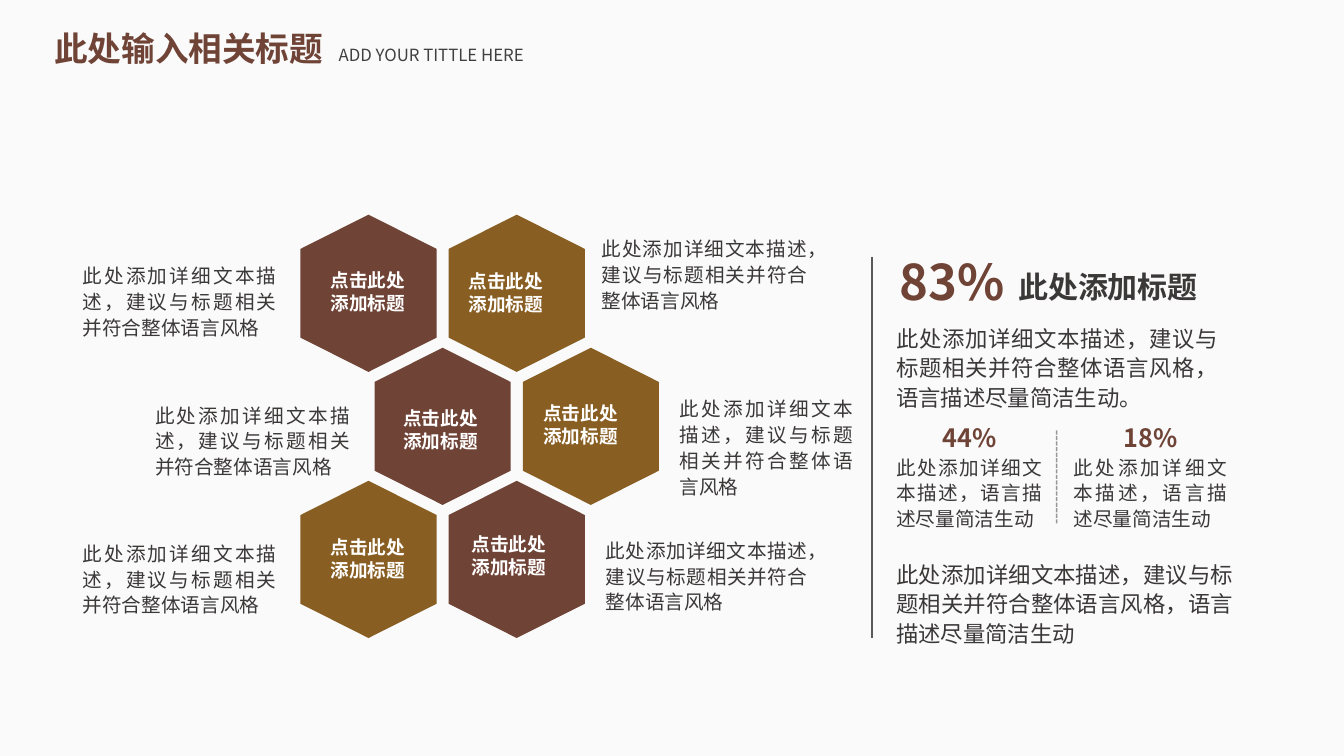
"""Build a honeycomb slide with six captioned cells and a statistics panel."""
from dataclasses import dataclass

from lxml import etree
from pptx import Presentation
from pptx import util as u
from pptx.dml.color import RGBColor
from pptx.enum import dml, shapes, text
from pptx.oxml.ns import qn
from pptx.slide import Slide


@dataclass(frozen=True)
class Theme:
    font: str = "Noto Sans CJK SC"
    paper: str = "FAFAFA"
    brown: str = "6F4336"
    gold: str = "885E22"
    white: str = "FFFFFF"
    ink: str = "3B3838"
    grey: str = "404040"
    rule: str = "595959"
    black: str = "000000"
    title: float = 24
    subtitle: float = 12
    cell: float = 13.3
    note: float = 14
    body: float = 16
    percent: float = 18
    figure: float = 35
    heading: float = 21.4


@dataclass(frozen=True)
class Label:
    words: str
    left: float
    top: float
    width: float
    height: float
    size: float
    color: str
    bold: bool = False
    align: text.PP_ALIGN | None = None
    spacing: float | None = None
    anchor: text.MSO_ANCHOR = text.MSO_ANCHOR.TOP


@dataclass(frozen=True)
class Cell:
    row: int
    col: int
    color: str
    label_left: float
    label_top: float


@dataclass(frozen=True)
class Rule:
    x: float
    top: float
    bottom: float
    color: str
    dash: dml.MSO_LINE | None = None
    opacity: int | None = None


T = Theme()
CENTER = text.PP_ALIGN.CENTER
CELL_W, CELL_H, SHOULDER = 1.35, 1.56, 0.34
GRID_LEFT, GRID_TOP, COL_STEP, ROW_STEP = 2.98, 2.13, 1.47, 1.32
CELL_TITLE = "点击此处添加标题"
NOTE = "此处添加详细文本描述，建议与标题相关并符合整体语言风格"
SHORT_NOTE = "此处添加详细文本描述，语言描述尽量简洁生动"
LONG_NOTE = NOTE + "，语言描述尽量简洁生动"

CELLS = [
    Cell(0, 0, T.brown, 3.18, 2.62),
    Cell(0, 1, T.gold, 4.55, 2.63),
    Cell(1, 0, T.brown, 3.9, 3.99),
    Cell(1, 1, T.gold, 5.29, 3.94),
    Cell(2, 0, T.gold, 3.18, 5.27),
    Cell(2, 1, T.brown, 4.58, 5.24),
]
RULES = [
    Rule(8.65, 2.55, 6.33, T.rule),
    Rule(10.48, 4.27, 5.2, T.black, dml.MSO_LINE.SQUARE_DOT, 40),
]


def paragraph_label(words: str, left: float, top: float, width: float, height: float,
                    size: float = T.note,
                    anchor: text.MSO_ANCHOR = text.MSO_ANCHOR.TOP) -> Label:
    return Label(words, left, top, width, height, size, T.ink,
                 align=text.PP_ALIGN.JUSTIFY, spacing=1.1, anchor=anchor)


MIDDLE = text.MSO_ANCHOR.MIDDLE
LABELS = [
    Label("此处输入相关标题", 0.44, 0.23, 3.05, 0.5, T.title, T.brown, True),
    Label("ADD YOUR TITTLE HERE", 3.26, 0.39, 2.79, 0.3, T.subtitle, T.grey),
    paragraph_label(NOTE, 0.72, 2.55, 2.12, 0.88),
    paragraph_label(NOTE, 1.44, 3.93, 2.13, 0.88),
    paragraph_label(NOTE, 0.72, 5.3, 2.12, 0.88),
    paragraph_label(NOTE, 5.87, 2.28, 2.24, 0.88),
    paragraph_label(NOTE, 6.64, 3.87, 1.92, 1.14),
    paragraph_label(NOTE, 5.91, 5.27, 2.2, 0.88),
    Label("83%", 8.72, 2.45, 1.45, 0.69, T.figure, T.brown, True, CENTER),
    Label("此处添加标题", 10, 2.62, 2.82, 0.46, T.heading, T.ink, True),
    paragraph_label(LONG_NOTE + "。", 8.79, 3.14, 3.39, 0.99, T.body, MIDDLE),
    Label("44%", 9.23, 4.14, 0.78, 0.4, T.percent, T.brown, True, CENTER),
    Label("18%", 11.02, 4.14, 0.78, 0.4, T.percent, T.brown, True, CENTER),
    paragraph_label(SHORT_NOTE, 8.79, 4.44, 1.65, 0.88, anchor=MIDDLE),
    paragraph_label(SHORT_NOTE, 10.55, 4.44, 1.72, 0.88, anchor=MIDDLE),
    paragraph_label(LONG_NOTE, 8.79, 5.48, 3.54, 0.99, T.body, MIDDLE),
]


def apply(target: object, values: dict[str, object]) -> None:
    for name, value in values.items():
        setattr(target, name, value)


def draw_label(s: Slide, label: Label) -> None:
    sp = s.shapes.add_textbox(*map(u.Inches, (label.left, label.top,
                                              label.width, label.height)))
    tf = sp.text_frame
    apply(tf, {"word_wrap": True, "vertical_anchor": label.anchor,
               "auto_size": text.MSO_AUTO_SIZE.SHAPE_TO_FIT_TEXT})
    p = tf.paragraphs[0]
    apply(p, {"alignment": label.align, "line_spacing": label.spacing})
    r = p.add_run()
    r.text = label.words
    apply(r.font, {"size": u.Pt(label.size), "bold": label.bold, "name": T.font})
    r.font.color.rgb = RGBColor.from_string(label.color)
    etree.SubElement(r.font._element, qn("a:ea"), typeface=T.font)


def draw_cell(s: Slide, cell: Cell) -> None:
    left = GRID_LEFT + COL_STEP * (cell.col + cell.row % 2 / 2)
    top = GRID_TOP + ROW_STEP * cell.row
    center, right, bottom = left + CELL_W / 2, left + CELL_W, top + CELL_H
    upper, lower = top + SHOULDER, bottom - SHOULDER
    corners = [(right, upper), (right, lower), (center, bottom),
               (left, lower), (left, upper)]
    builder = s.shapes.build_freeform(u.Inches(center), u.Inches(top))
    builder.add_line_segments([(u.Inches(x), u.Inches(y)) for x, y in corners])
    sp = builder.convert_to_shape()
    sp.shadow.inherit = False
    sp.fill.solid()
    sp.fill.fore_color.rgb = RGBColor.from_string(cell.color)
    sp.line.fill.background()


def draw_rule(s: Slide, rule: Rule) -> None:
    sp = s.shapes.add_connector(shapes.MSO_CONNECTOR.STRAIGHT, *map(
        u.Inches, (rule.x, rule.top, rule.x, rule.bottom)))
    sp.line.color.rgb = RGBColor.from_string(rule.color)
    apply(sp.line, {"width": u.Pt(1), "dash_style": rule.dash})
    sp_pr = sp._element.spPr
    if rule.opacity is not None:
        color = sp_pr.find(".//" + qn("a:srgbClr"))
        etree.SubElement(color, qn("a:alpha"), val=str(rule.opacity * 1000))
    etree.SubElement(sp_pr, qn("a:effectLst"))


def main() -> None:
    prs = Presentation()
    apply(prs, {"slide_width": u.Inches(13.33), "slide_height": u.Inches(7.5)})
    s = prs.slides.add_slide(prs.slide_layouts[6])
    s.background.fill.solid()
    s.background.fill.fore_color.rgb = RGBColor.from_string(T.paper)
    for cell in CELLS:
        draw_cell(s, cell)
    for rule in RULES:
        draw_rule(s, rule)
    for cell in CELLS:
        draw_label(s, Label(CELL_TITLE, cell.label_left, cell.label_top, 1.12, 0.55,
                            T.cell, T.white, True))
    for label in LABELS:
        draw_label(s, label)
    prs.save("out.pptx")


if __name__ == "__main__":
    main()
